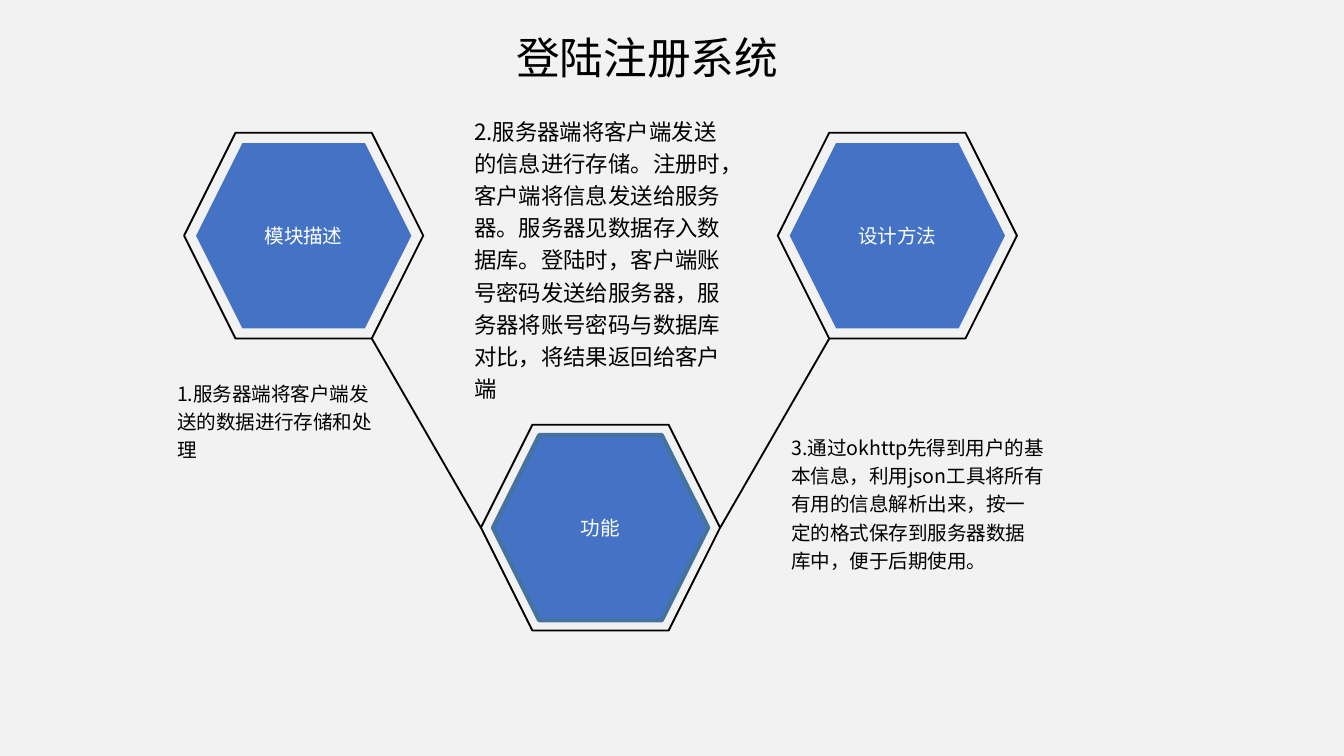
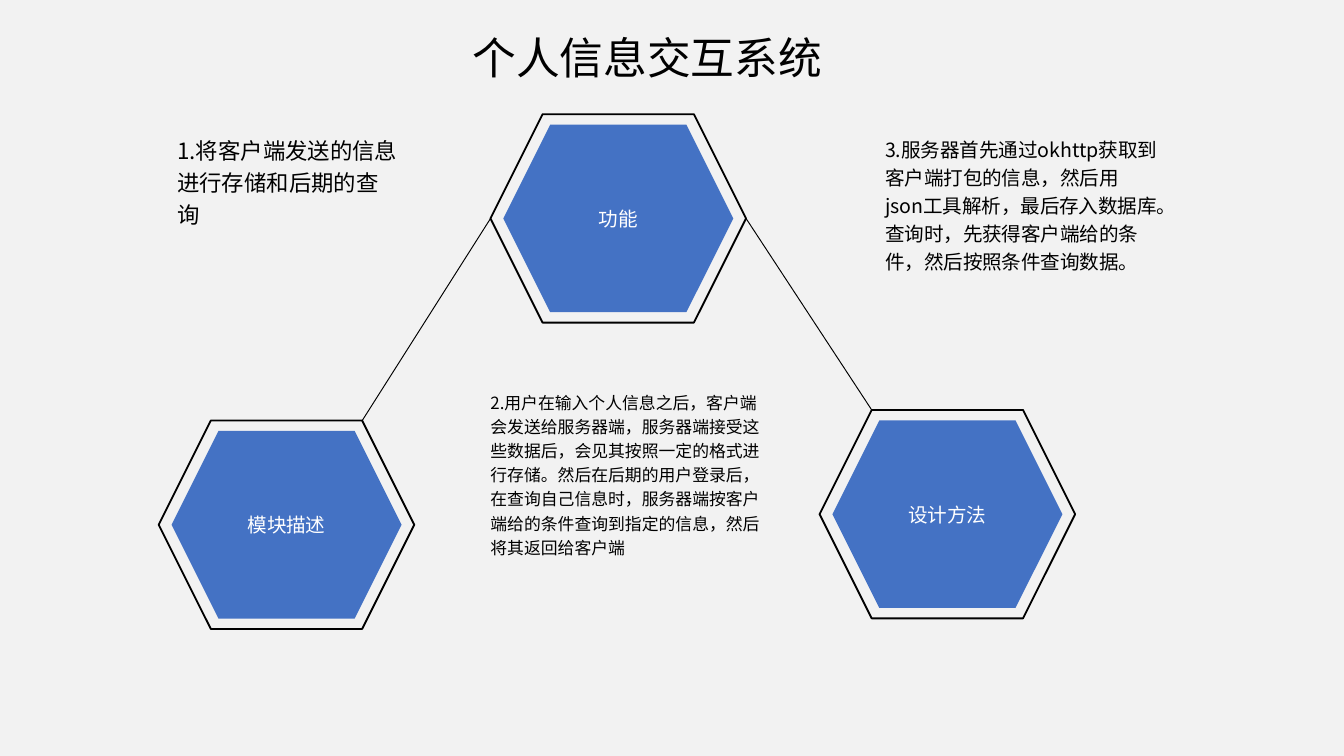
import lxml.etree
import pptx
import pptx.dml.color
import pptx.enum.shapes
import pptx.enum.text
import pptx.oxml.ns
import pptx.util

Cm = pptx.util.Cm
Pt = pptx.util.Pt
ALIGN = pptx.enum.text.PP_ALIGN
ANCHOR = pptx.enum.text.MSO_ANCHOR
qn = pptx.oxml.ns.qn


def color(value):
    return pptx.dml.color.RGBColor.from_string(value)


class Builder:
    font = "Noto Sans CJK SC"
    ink = "000000"
    paper = "F2F2F2"
    accent = "4472C4"
    edge = "43739E"
    light = "FFFFFF"
    inner_scale = 0.9

    def __init__(self):
        self.deck = pptx.Presentation()
        self.deck.slide_width = Cm(25.4)
        self.deck.slide_height = Cm(14.29)
        self.page = None

    def start_page(self, title):
        self.page = self.deck.slides.add_slide(self.deck.slide_layouts[6])
        fill = self.page.background.fill
        fill.solid()
        fill.fore_color.rgb = color(self.paper)
        self.text(title, 3.48, 0.46, 17.5, 1.27, 23.4, align=ALIGN.CENTER, spacing=1)

    def set_words(self, frame, text, size, ink, align, spacing=1):
        frame.word_wrap = True
        para = frame.paragraphs[0]
        para.text = text
        para.alignment = align
        para.line_spacing = spacing
        para.font.size = Pt(size)
        para.font.name = self.font
        para.font.color.rgb = color(ink)
        defaults = para._p.pPr.find(qn("a:defRPr"))
        lxml.etree.SubElement(defaults, qn("a:ea"), typeface=self.font)

    def text(self, text, left, top, width, height, size,
             anchor=ANCHOR.TOP, align=ALIGN.LEFT, spacing=1.2):
        box = self.page.shapes.add_textbox(Cm(left), Cm(top), Cm(width), Cm(height))
        box.text_frame.vertical_anchor = anchor
        self.set_words(box.text_frame, text, size, self.ink, align, spacing)

    def hexagon(self, left, top, width, height):
        shape = self.page.shapes.add_shape(
            pptx.enum.shapes.MSO_SHAPE.HEXAGON, Cm(left), Cm(top), Cm(width), Cm(height))
        shape.shadow.inherit = False
        return shape

    def framed_hexagon(self, label, left, top, width, height, edged=False):
        frame = self.hexagon(left, top, width, height)
        frame.fill.background()
        frame.line.color.rgb = color(self.ink)
        frame.line.width = Pt(1)

        margin = (1 - self.inner_scale) / 2
        core = self.hexagon(left + width * margin, top + height * margin,
                            width * self.inner_scale, height * self.inner_scale)
        core.fill.solid()
        core.fill.fore_color.rgb = color(self.accent)
        if edged:
            core.line.color.rgb = color(self.edge)
            core.line.width = Pt(2.25)
        else:
            core.line.fill.background()
        words = core.text_frame
        words.margin_left = words.margin_top = words.margin_right = words.margin_bottom = 0
        words.vertical_anchor = ANCHOR.MIDDLE
        self.set_words(words, label, 10.5, self.light, ALIGN.CENTER)

        slant, right, bottom = height / 4, left + width, top + height
        return {
            "left": (left, top + height / 2),
            "right": (right, top + height / 2),
            "top left": (left + slant, top),
            "top right": (right - slant, top),
            "bottom left": (left + slant, bottom),
            "bottom right": (right - slant, bottom),
        }

    def line(self, start, end, weight):
        link = self.page.shapes.add_connector(
            pptx.enum.shapes.MSO_CONNECTOR.STRAIGHT, *map(Cm, start + end))
        link.line.color.rgb = color(self.ink)
        link.line.width = Pt(weight)
        lxml.etree.SubElement(link._element.spPr, qn("a:effectLst"))

    def trio(self, places, size, side, weight, edged=False):
        first, middle, last = [
            self.framed_hexagon(label, *place, *size, edged=edged and label == "功能")
            for label, place in zip(("模块描述", "功能", "设计方法"), places)]
        self.line(first[f"{side} right"], middle["left"], weight)
        self.line(middle["right"], last[f"{side} left"], weight)


def login_page(builder):
    builder.start_page("登陆注册系统")
    tops = (2.51, 8.03, 2.51)
    places = [(3.48 + 5.61 * column, top) for column, top in enumerate(tops)]
    builder.trio(places, (4.52, 3.89), "bottom", 1, edged=True)
    builder.text("1.服务器端将客户端发送的数据进行存储和处理", 3.1, 7.01, 4.42, 6.63, 10.5)
    builder.text(
        "3.通过okhttp先得到用户的基本信息，利用json工具将所有有用的信息解析出来，"
        "按一定的格式保存到服务器数据库中，便于后期使用。",
        14.71, 8.03, 5.28, 5.61, 10.5)
    builder.text(
        "2.服务器端将客户端发送的信息进行存储。注册时，客户端将信息发送给服务器。"
        "服务器见数据存入数据库。登陆时，客户端账号密码发送给服务器，"
        "服务器将账号密码与数据库对比，将结果返回给客户端",
        8.71, 1.68, 5.28, 6.05, 12, anchor=ANCHOR.BOTTOM)


def profile_page(builder):
    builder.start_page("个人信息交互系统")
    places = [(3, 7.95), (9.27, 2.16), (15.49, 7.75)]
    builder.trio(places, (4.83, 3.94), "top", 0.5)
    builder.text("1.将客户端发送的信息进行存储和后期的查询", 3.1, 2.36, 4.72, 6.71, 12)
    builder.text(
        "3.服务器首先通过okhttp获取到客户端打包的信息，然后用json工具解析，最后存入数据库。"
        "查询时，先获得客户端给的条件，然后按照条件查询数据。",
        16.48, 2.39, 5.64, 5.54, 10.5)
    builder.text(
        "2.用户在输入个人信息之后，客户端会发送给服务器端，服务器端接受这些数据后，"
        "会见其按照一定的格式进行存储。然后在后期的用户登录后，在查询自己信息时，"
        "服务器端按客户端给的条件查询到指定的信息，然后将其返回给客户端",
        9.02, 7.09, 5.64, 3.58, 9, anchor=ANCHOR.BOTTOM)


def main():
    builder = Builder()
    login_page(builder)
    profile_page(builder)
    builder.deck.save("out.pptx")


if __name__ == "__main__":
    main()
